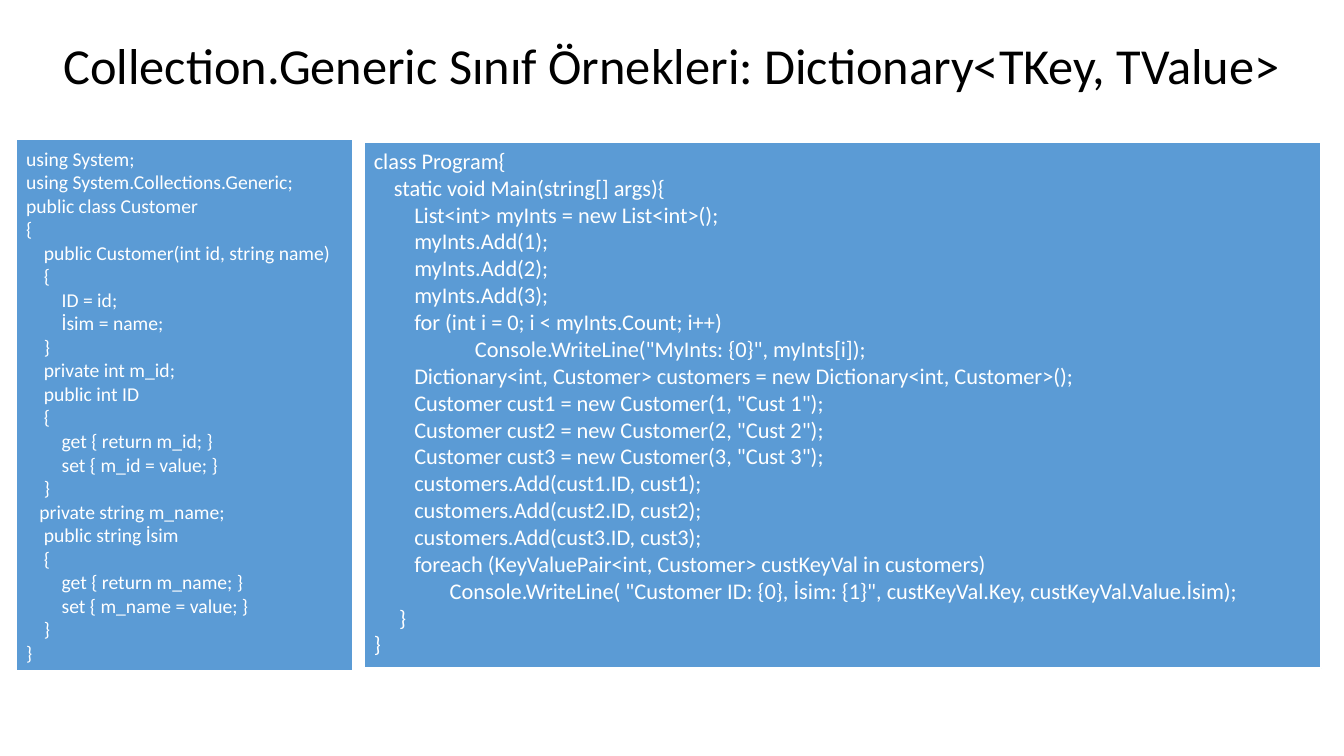
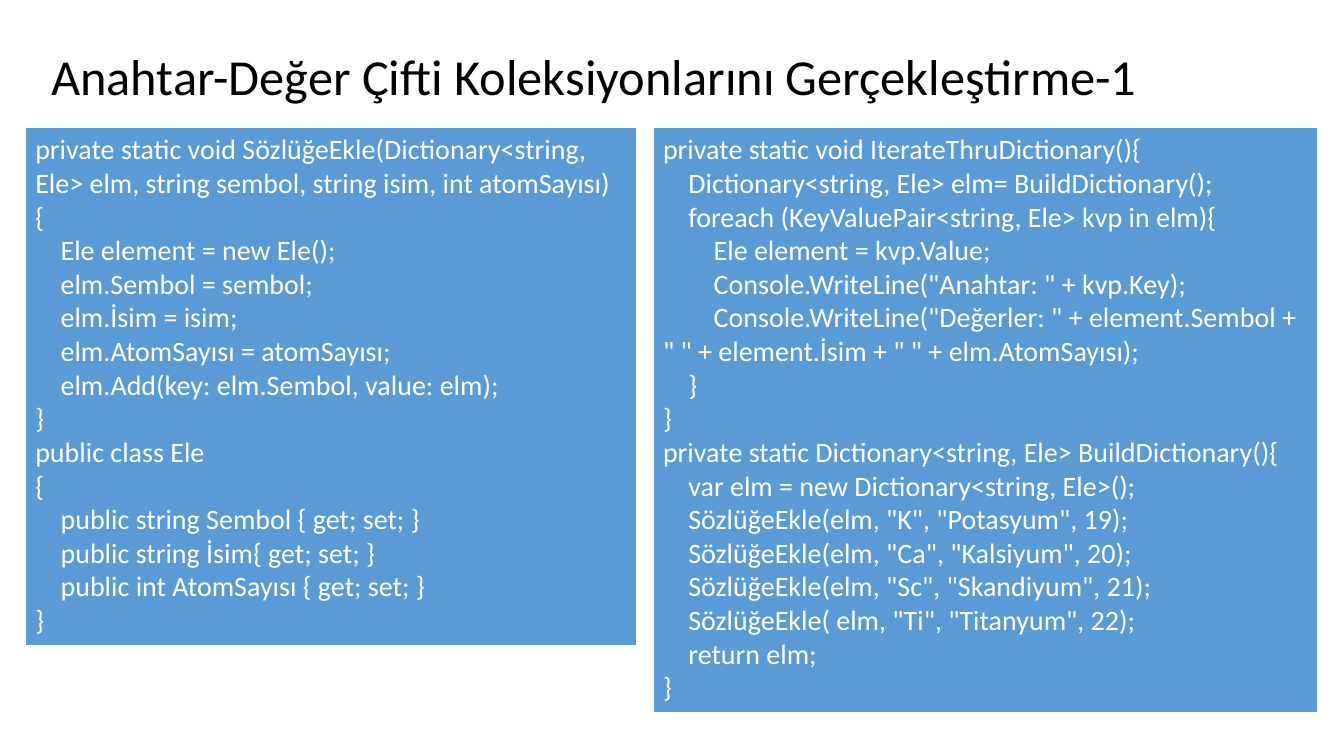
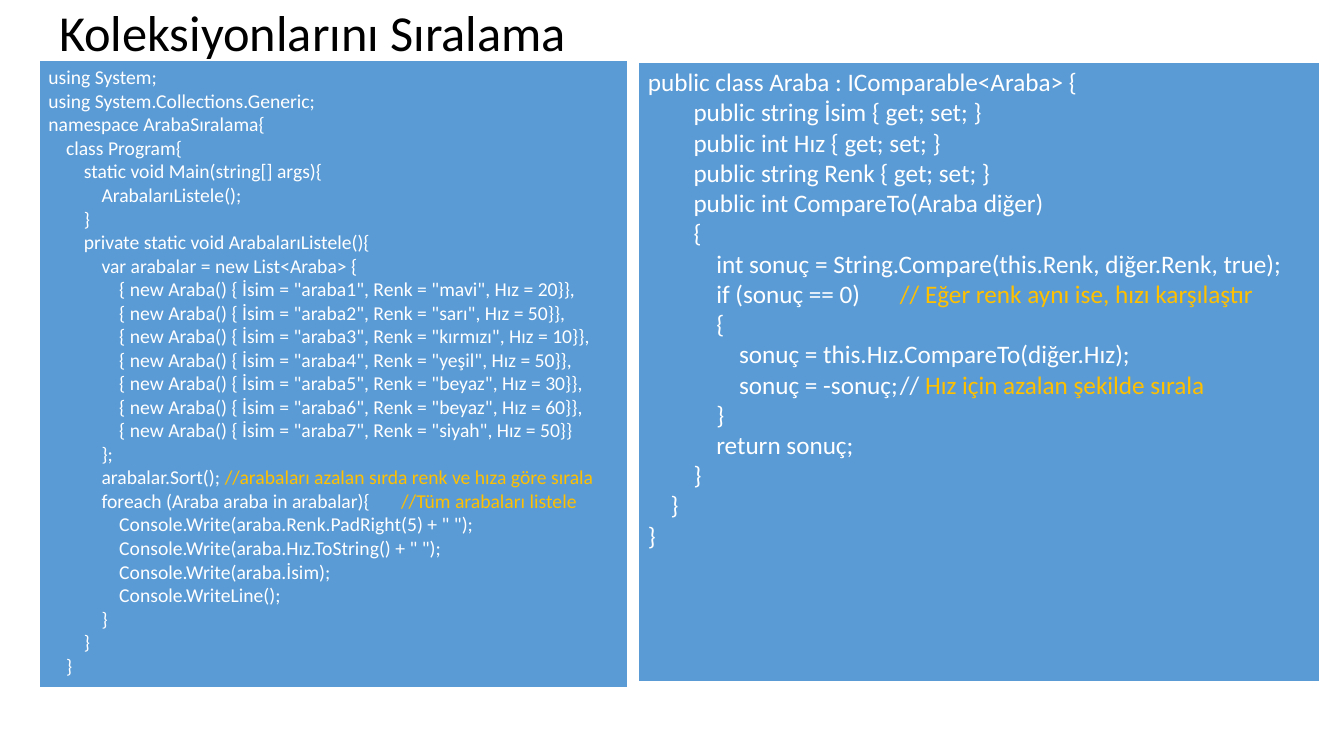
from dataclasses import dataclass

from lxml import etree
from pptx import Presentation
from pptx.dml.color import RGBColor
from pptx.enum.shapes import MSO_SHAPE
from pptx.enum.text import MSO_ANCHOR, PP_ALIGN
from pptx.oxml.ns import qn
from pptx.util import Cm, Pt

RECTANGLE = MSO_SHAPE.RECTANGLE
TOP, MIDDLE = MSO_ANCHOR.TOP, MSO_ANCHOR.MIDDLE
LEFT = PP_ALIGN.LEFT
ACCENT_MARK = "¦"  # text after this mark takes the accent colour


@dataclass(frozen=True)
class Theme:
    """Colours, font and type sizes shared by the slides."""

    font: str = "Calibri"
    title_color: RGBColor = RGBColor(0x00, 0x00, 0x00)
    panel_color: RGBColor = RGBColor(0x5B, 0x9B, 0xD5)
    code_color: RGBColor = RGBColor(0xFF, 0xFF, 0xFF)
    accent_color: RGBColor = RGBColor(0xFF, 0xC0, 0x00)
    title_size: int = 36
    small: int = 14
    medium: int = 16
    large: int = 18
    extra_large: int = 20
    border: float = 1.5
    space_width: float = 0.226  # share of the type size


THEME = Theme()

CUSTOMER_CLASS = """
using System;
using System.Collections.Generic;
public class Customer
{
    public Customer(int id, string name)
    {
        ID = id;
        İsim = name;
    }
    private int m_id;
    public int ID
    {
        get { return m_id; }
        set { m_id = value; }
    }
   private string m_name;
    public string İsim
    {
        get { return m_name; }
        set { m_name = value; }
    }
}
"""

CUSTOMER_LISTS = """
class Program{
    static void Main(string[] args){
        List<int> myInts = new List<int>();
        myInts.Add(1);
        myInts.Add(2);
        myInts.Add(3);
        for (int i = 0; i < myInts.Count; i++)
                    Console.WriteLine("MyInts: {0}", myInts[i]);
        Dictionary<int, Customer> customers = new Dictionary<int, Customer>();
"""

CUSTOMER_OUTPUT = """
        Customer cust1 = new Customer(1, "Cust 1");
        Customer cust2 = new Customer(2, "Cust 2");
        Customer cust3 = new Customer(3, "Cust 3");
        customers.Add(cust1.ID, cust1);
        customers.Add(cust2.ID, cust2);
        customers.Add(cust3.ID, cust3);
        foreach (KeyValuePair<int, Customer> custKeyVal in customers)
               Console.WriteLine( "Customer ID: {0}, İsim: {1}", custKeyVal.Key, custKeyVal.Value.İsim);
     }
}
"""

ELEMENT_CLASS = """
private static void SözlüğeEkle(Dictionary<string, Ele> elm, string sembol, string isim, int atomSayısı)
{
    Ele element = new Ele();
    elm.Sembol = sembol;
    elm.İsim = isim;
    elm.AtomSayısı = atomSayısı;
    elm.Add(key: elm.Sembol, value: elm);
}
public class Ele
{
    public string Sembol { get; set; }
    public string İsim{ get; set; }
    public int AtomSayısı { get; set; }
}
"""

ELEMENT_DICTIONARY = """
private static void IterateThruDictionary(){
    Dictionary<string, Ele> elm= BuildDictionary();
    foreach (KeyValuePair<string, Ele> kvp in elm){
        Ele element = kvp.Value;
        Console.WriteLine("Anahtar: " + kvp.Key);
        Console.WriteLine("Değerler: " + element.Sembol + " " + element.İsim + " " + elm.AtomSayısı);
    }
}
private static Dictionary<string, Ele> BuildDictionary(){
    var elm = new Dictionary<string, Ele>();
    SözlüğeEkle(elm, "K", "Potasyum", 19);
    SözlüğeEkle(elm, "Ca", "Kalsiyum", 20);
    SözlüğeEkle(elm, "Sc", "Skandiyum", 21);
    SözlüğeEkle( elm, "Ti", "Titanyum", 22);
    return elm;
}
"""

CAR_START = """
using System;
using System.Collections.Generic;
namespace ArabaSıralama{
    class Program{
        static void Main(string[] args){
            ArabalarıListele();
        }
        private static void ArabalarıListele(){
            var arabalar = new List<Araba> {
"""

CARS = (
    ("mavi", 20),
    ("sarı", 50),
    ("kırmızı", 10),
    ("yeşil", 50),
    ("beyaz", 30),
    ("beyaz", 60),
    ("siyah", 50),
)

CAR_OUTPUT = """
            };
            arabalar.Sort(); ¦//arabaları azalan sırda renk ve hıza göre sırala
            foreach (Araba araba in arabalar){\t¦//Tüm arabaları listele
                Console.Write(araba.Renk.PadRight(5) + " ");
                Console.Write(araba.Hız.ToString() + " ");
                Console.Write(araba.İsim);
                Console.WriteLine();
            }
        }
    }
"""

CAR_CLASS = """
public class Araba : IComparable<Araba> {
        public string İsim { get; set; }
        public int Hız { get; set; }
        public string Renk { get; set; }
        public int CompareTo(Araba diğer)
        {
            int sonuç = String.Compare(this.Renk, diğer.Renk, true);
            if (sonuç == 0)\t¦// Eğer renk aynı ise, hızı karşılaştır
            {
                sonuç = this.Hız.CompareTo(diğer.Hız);
                sonuç = -sonuç;\t// ¦Hız için azalan şekilde sırala
            }
            return sonuç;
        }
    }
}
"""


def code_lines(code):
    """Split a block of code into its lines."""
    return code.strip("\n").split("\n")


def car_lines():
    """Return one initialiser line for each car."""
    indent = " " * 16
    lines = [
        f'{indent}{{ new Araba() {{ İsim = "araba{number}", Renk = "{color}", Hız = {speed}}}}},'
        for number, (color, speed) in enumerate(CARS, start=1)
    ]
    lines[-1] = lines[-1].rstrip(",")
    return lines


def format_run(run, size, color):
    """Give a run the theme font, a size and a colour."""
    run.font.name = THEME.font
    run.font.size = Pt(size)
    run.font.color.rgb = color


def add_title(slide, text, left, top):
    """Add the slide title."""
    shape = slide.shapes.add_textbox(Cm(left), Cm(top), Cm(31.62), Cm(2.39))
    text_frame = shape.text_frame
    text_frame.word_wrap = True
    text_frame.vertical_anchor = MIDDLE
    text_frame.text = text
    paragraph = text_frame.paragraphs[0]
    paragraph.line_spacing = 0.9
    format_run(paragraph.runs[0], THEME.title_size, THEME.title_color)


def write_code_line(paragraph, line, size, tab):
    """Write one line of code, indented by its leading spaces."""
    code = line.lstrip(" ")
    depth = len(line) - len(code)
    paragraph.alignment = LEFT
    properties = paragraph._p.get_or_add_pPr()
    properties.set("marL", "0")
    properties.set("indent", str(Pt(depth * THEME.space_width * size)))
    if "\t" in code:
        tab_list = etree.SubElement(properties, qn("a:tabLst"))
        etree.SubElement(tab_list, qn("a:tab"), pos=str(Cm(tab)), algn="l")
    colors = (THEME.code_color, THEME.accent_color)
    for text, color in zip(code.split(ACCENT_MARK), colors):
        run = paragraph.add_run()
        run.text = text
        format_run(run, size, color)


def add_code_panel(slide, lines, box, size, anchor=TOP, tab=0):
    """Add a filled rectangle that holds lines of code."""
    shape = slide.shapes.add_shape(RECTANGLE, *(Cm(length) for length in box))
    shape.shadow.inherit = False
    shape.fill.solid()
    shape.fill.fore_color.rgb = THEME.panel_color
    shape.line.color.rgb = THEME.code_color
    shape.line.width = Pt(THEME.border)
    text_frame = shape.text_frame
    text_frame.word_wrap = True
    text_frame.vertical_anchor = anchor
    for index, line in enumerate(lines):
        paragraph = text_frame.add_paragraph() if index else text_frame.paragraphs[0]
        write_code_line(paragraph, line, size, tab)


def main():
    """Build and save the three slides."""
    presentation = Presentation()
    presentation.slide_width = Cm(33.87)
    presentation.slide_height = Cm(19.05)
    blank = presentation.slide_layouts[6]

    slide = presentation.slides.add_slide(blank)
    add_title(slide, "Collection.Generic Sınıf Örnekleri: Dictionary<TKey, TValue>", 1.35, 0.53)
    add_code_panel(
        slide, code_lines(CUSTOMER_CLASS), (0.41, 3.51, 8.48, 13.41), THEME.small, MIDDLE
    )
    customer_program = code_lines(CUSTOMER_LISTS) + code_lines(CUSTOMER_OUTPUT)
    add_code_panel(slide, customer_program, (9.17, 3.58, 24.13, 13.26), THEME.medium)

    slide = presentation.slides.add_slide(blank)
    add_title(slide, "Anahtar-Değer Çifti Koleksiyonlarını Gerçekleştirme-1", 1.04, 0.81)
    add_code_panel(
        slide, code_lines(ELEMENT_CLASS), (0.64, 3.2, 15.42, 13.08), THEME.extra_large
    )
    add_code_panel(
        slide, code_lines(ELEMENT_DICTIONARY), (16.46, 3.2, 16.76, 14.78), THEME.extra_large
    )

    slide = presentation.slides.add_slide(blank)
    add_title(slide, "Koleksiyonlarını Sıralama", 1.24, -0.3)
    car_program = code_lines(CAR_START) + car_lines() + code_lines(CAR_OUTPUT)
    add_code_panel(slide, car_program, (0.97, 1.52, 14.86, 15.82), THEME.small, tab=8.44)
    add_code_panel(
        slide, code_lines(CAR_CLASS), (16.08, 1.55, 17.2, 15.65), THEME.large, tab=6.92
    )

    presentation.save("out.pptx")


main()
